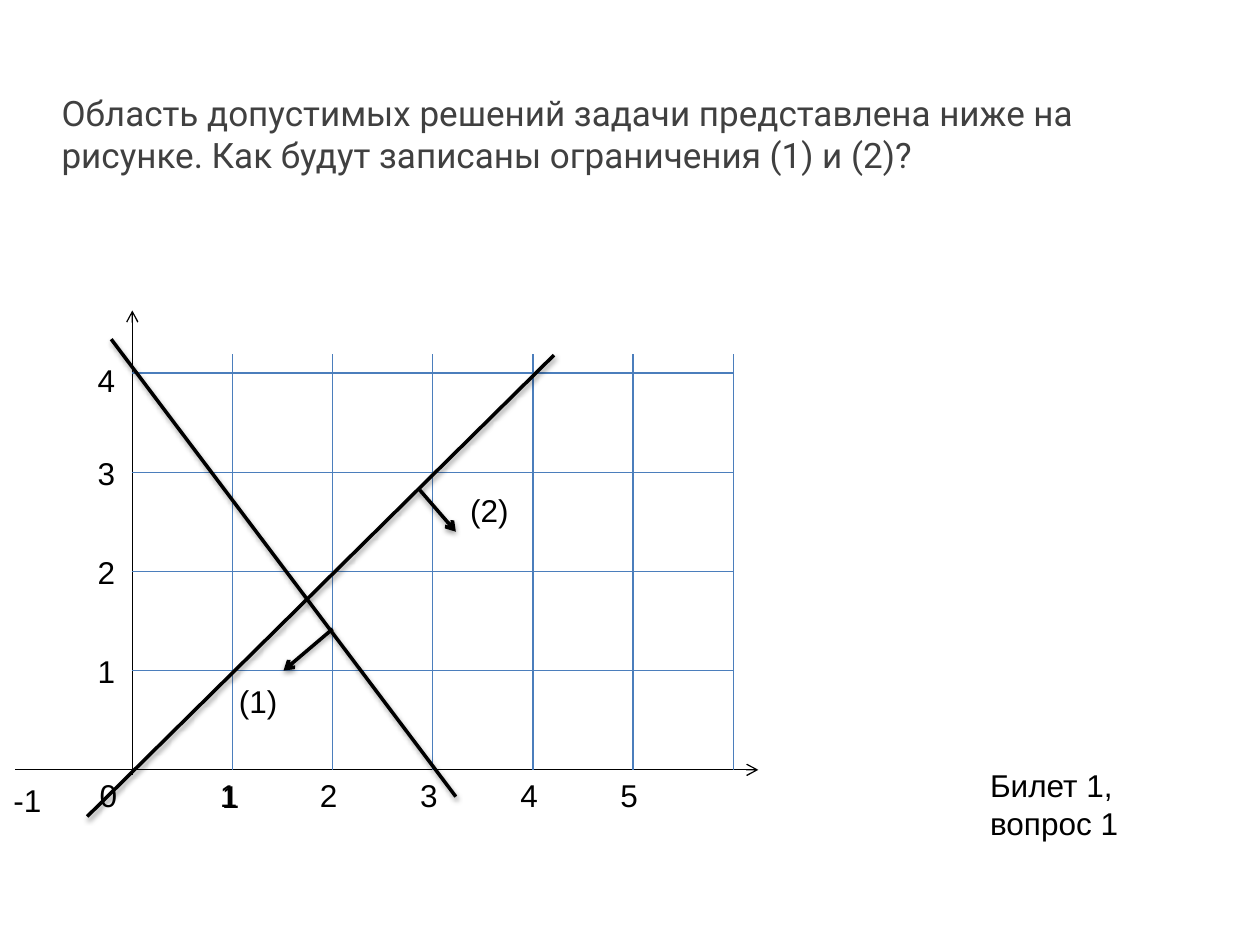
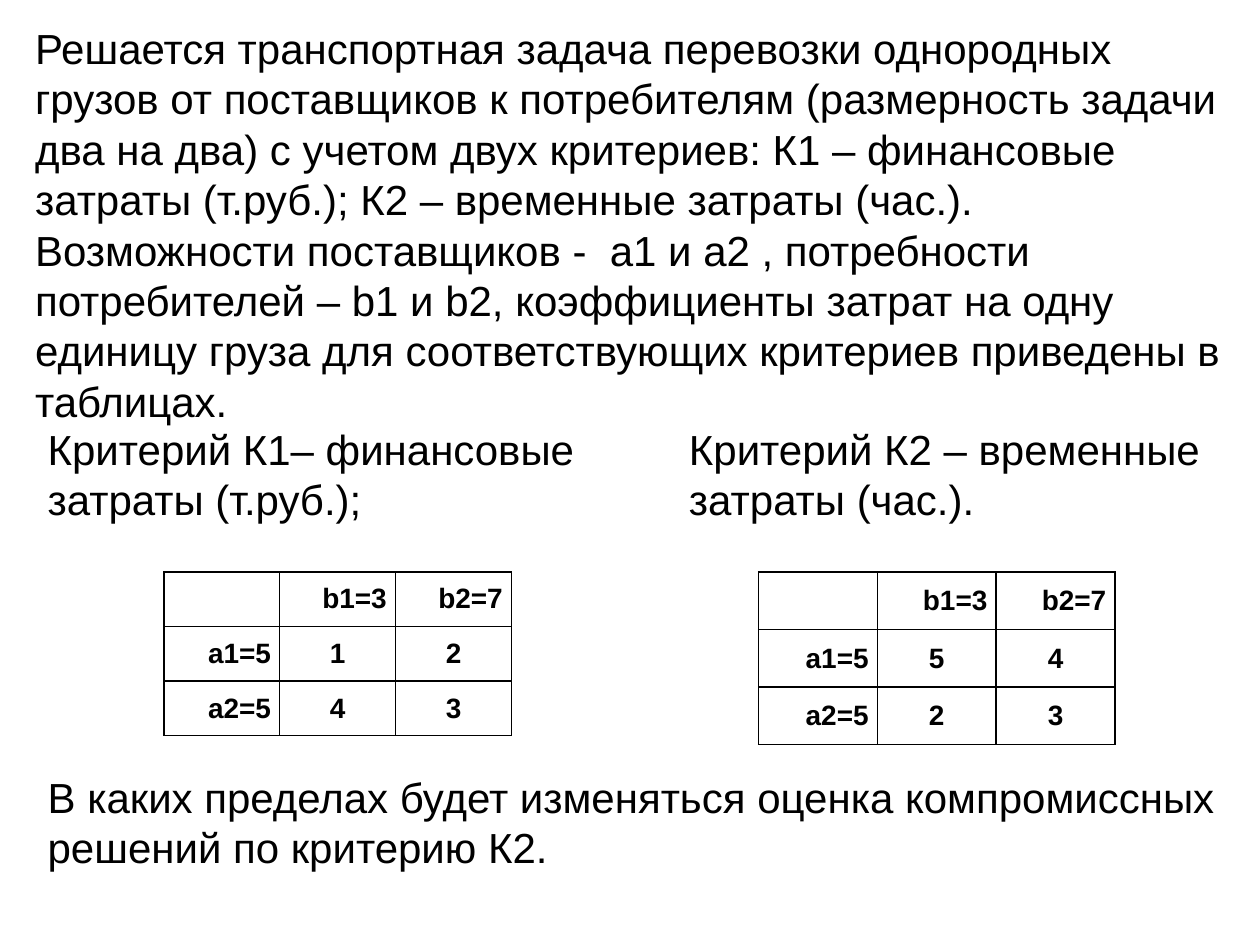
from dataclasses import dataclass

from lxml.etree import SubElement
from pptx import Presentation
from pptx.dml.color import RGBColor
from pptx.enum.shapes import MSO_CONNECTOR
from pptx.enum.text import MSO_ANCHOR, PP_ALIGN
from pptx.oxml.ns import qn
from pptx.slide import Slide
from pptx.util import Emu, Inches, Pt

COLS, ROWS = 100, 75  # layout grid of each slide
CELL = Inches(0.1)
BLACK, GREY, GRID_BLUE = "000000", "404040", "4B7EBC"
FONT, TITLE_FONT = "Arial", "Roboto"

# Graph: origin and far corner in layout cells, size in graph units
X0, Y0, X_END, Y_END = 10.5, 61.1, 58.2, 29.6
X_MAX, Y_MAX = 6, 4
GRID_TOP = 4.19


@dataclass
class TextBox:
    left: float
    top: float
    width: float
    height: float
    paragraphs: list[str]
    size: int = 24
    font: str = FONT
    color: str = BLACK


@dataclass
class GraphLine:
    """A line between two points given in graph units."""
    start: tuple[float, float]
    end: tuple[float, float]
    color: str = BLACK
    width: float = 0.75
    arrow: bool = False
    shadow: bool = False


@dataclass
class GraphLabel:
    """A label whose box has its top left corner at (x, y) in graph units."""
    text: str
    x: float
    y: float
    width: float = 3.7


@dataclass
class CostTable:
    left: float
    top: float
    col_width: float
    row_height: float
    costs: list[list[int]]


def rgb(color: str) -> RGBColor:
    return RGBColor.from_string(color)


def cells(n: float) -> Emu:
    return Emu(round(n * CELL))


def graph_cell(x: float, y: float) -> tuple[float, float]:
    """Turn graph units into layout cells."""
    return X0 + x * (X_END - X0) / X_MAX, Y0 - y * (Y0 - Y_END) / Y_MAX


def add_run(p, text: str, size: int, font: str = FONT,
            color: str = BLACK, bold: bool = False) -> None:
    r = p.add_run()
    r.text = text
    r.font.size, r.font.name, r.font.bold = Pt(size), font, bold
    r.font.color.rgb = rgb(color)


def draw_text(slide: Slide, box: TextBox) -> None:
    sp = slide.shapes.add_textbox(
        *map(cells, (box.left, box.top, box.width, box.height)))
    tf = sp.text_frame
    tf.word_wrap = True
    for i, text in enumerate(box.paragraphs):
        p = tf.add_paragraph() if i else tf.paragraphs[0]
        add_run(p, text, box.size, box.font, box.color)


def draw_line(slide: Slide, line: GraphLine) -> None:
    ends = graph_cell(*line.start) + graph_cell(*line.end)
    cxn = slide.shapes.add_connector(MSO_CONNECTOR.STRAIGHT, *map(cells, ends))
    cxn.line.color.rgb = rgb(line.color)
    cxn.line.width = Pt(line.width)
    sp_pr = cxn._element.spPr
    if line.arrow:
        SubElement(sp_pr.find(qn("a:ln")), qn("a:tailEnd"), type="arrow")
    effects = SubElement(sp_pr, qn("a:effectLst"))
    if line.shadow:
        shadow = SubElement(effects, qn("a:outerShdw"), blurRad=str(Pt(3.1)),
                            dist=str(Pt(1.6)), dir="5400000", rotWithShape="0")
        color = SubElement(shadow, qn("a:srgbClr"), val=BLACK)
        SubElement(color, qn("a:alpha"), val="38000")


def draw_label(slide: Slide, label: GraphLabel) -> None:
    left, top = graph_cell(label.x, label.y)
    draw_text(slide, TextBox(left, top, label.width, 4, [label.text], 18))


def add_borders(cell) -> None:
    tc_pr = cell._tc.get_or_add_tcPr()
    for side in "LRTB":
        ln = SubElement(tc_pr, qn(f"a:ln{side}"), w=str(Pt(1)))
        fill = SubElement(ln, qn("a:solidFill"))
        SubElement(fill, qn("a:srgbClr"), val=BLACK)


def draw_table(slide: Slide, spec: CostTable) -> None:
    rows = [["", "b1=3", "b2=7"]]
    rows += [[f"a{i}=5", *map(str, costs)]
             for i, costs in enumerate(spec.costs, 1)]
    n = len(rows)
    table = slide.shapes.add_table(
        n, n, cells(spec.left), cells(spec.top),
        cells(n * spec.col_width), cells(n * spec.row_height)).table
    table.first_row = table.horz_banding = False
    for i, row in enumerate(rows):
        for j, text in enumerate(row):
            cell = table.cell(i, j)
            add_borders(cell)
            cell.fill.background()
            cell.vertical_anchor = MSO_ANCHOR.MIDDLE
            cell.margin_left = cell.margin_right = Inches(0.07)
            cell.margin_top = cell.margin_bottom = 0
            p = cell.text_frame.paragraphs[0]
            p.alignment = PP_ALIGN.CENTER if i and j else PP_ALIGN.RIGHT
            if text:
                add_run(p, text, 16, bold=True)


def build_graph_slide(slide: Slide) -> None:
    draw_text(slide, TextBox(
        3.9, 6.8, 90.6, 7.7,
        ["Область допустимых решений задачи представлена ниже на рисунке. "
         "Как будут записаны ограничения (1) и (2)?"],
        20, TITLE_FONT, GREY))

    axes = [GraphLine((0, -0.05), (0, 4.63), arrow=True),
            GraphLine((-1.17, 0), (6.25, 0), arrow=True)]
    grid = [GraphLine((0, y), (X_MAX, y), GRID_BLUE)
            for y in range(1, Y_MAX + 1)]
    grid += [GraphLine((x, GRID_TOP), (x, 0), GRID_BLUE)
             for x in range(1, X_MAX + 1)]
    constraints = [
        GraphLine((-0.45, -0.47), (4.21, 4.18), width=2, shadow=True),
        GraphLine((2, 1.42), (1.51, 1), width=2, arrow=True, shadow=True),
        GraphLine((2.87, 2.82), (3.23, 2.4), width=2, arrow=True, shadow=True),
        GraphLine((-0.21, 4.34), (3.23, -0.27), width=2, shadow=True),
    ]
    for line in axes + grid + constraints:
        draw_line(slide, line)

    labels = [GraphLabel("0", -0.45, 0), GraphLabel("1", 0.77, -0.01)]
    labels += [GraphLabel(str(x), x - 0.25, 0) for x in range(1, X_MAX)]
    labels += [GraphLabel(str(y), -0.47, y + 0.25) for y in range(1, Y_MAX)]
    labels += [GraphLabel("4", -0.47, 4.18),
               GraphLabel("-1", -1.31, -0.05, 5.3),
               GraphLabel("(1)", 0.94, 0.95, 6.3),
               GraphLabel("(2)", 3.25, 2.87, 6.3)]
    for label in labels:
        draw_label(slide, label)

    draw_text(slide, TextBox(77.6, 60.3, 15, 7.1, ["Билет 1, вопрос 1"], 18))


def build_transport_slide(slide: Slide) -> None:
    texts = [
        TextBox(1.8, 1.3, 96.2, 29.3, [
            "Решается транспортная задача перевозки однородных грузов от "
            "поставщиков к потребителям (размерность задачи два на два) с "
            "учетом двух критериев: К1 – финансовые затраты (т.руб.); "
            "К2 – временные затраты (час.).",
            "Возможности поставщиков -  a1 и a2 , потребности потребителей – "
            "b1 и b2, коэффициенты затрат на одну единицу груза для "
            "соответствующих критериев приведены в таблицах."]),
        TextBox(2.8, 33.1, 47.2, 9.1,
                ["Критерий К1– финансовые затраты (т.руб.);"]),
        TextBox(53.7, 33.1, 44.3, 9.1,
                ["Критерий К2 – временные затраты (час.)."]),
        TextBox(2.8, 60.7, 96.1, 9.1,
                ["В каких пределах будет изменяться оценка компромиссных "
                 "решений по критерию К2."]),
    ]
    for box in texts:
        draw_text(slide, box)
    for spec in (CostTable(60.2, 45.4, 9.43, 4.57, [[5, 4], [2, 3]]),
                 CostTable(13, 45.4, 9.2, 4.33, [[1, 2], [4, 3]])):
        draw_table(slide, spec)


def main() -> None:
    prs = Presentation()
    prs.slide_width, prs.slide_height = cells(COLS), cells(ROWS)
    blank = prs.slide_layouts[6]
    for build in (build_graph_slide, build_transport_slide):
        build(prs.slides.add_slide(blank))
    prs.save("out.pptx")


if __name__ == "__main__":
    main()
